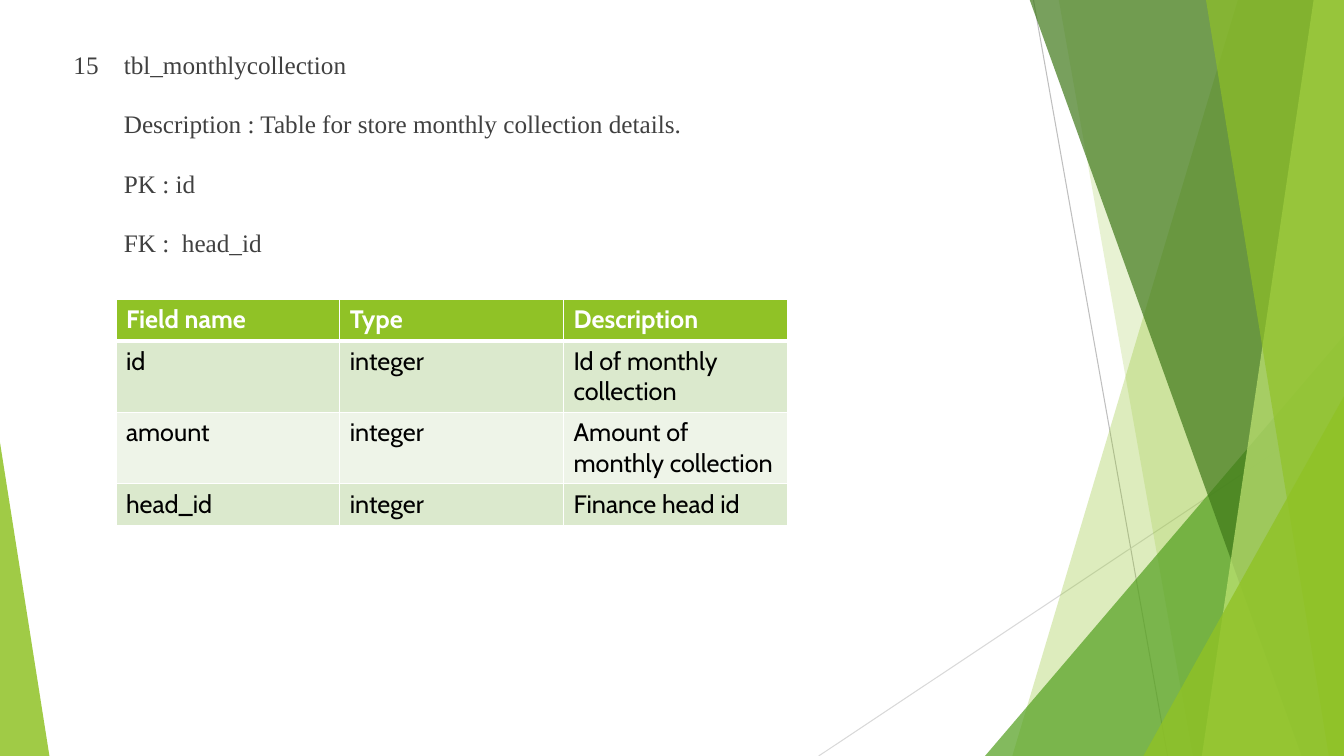
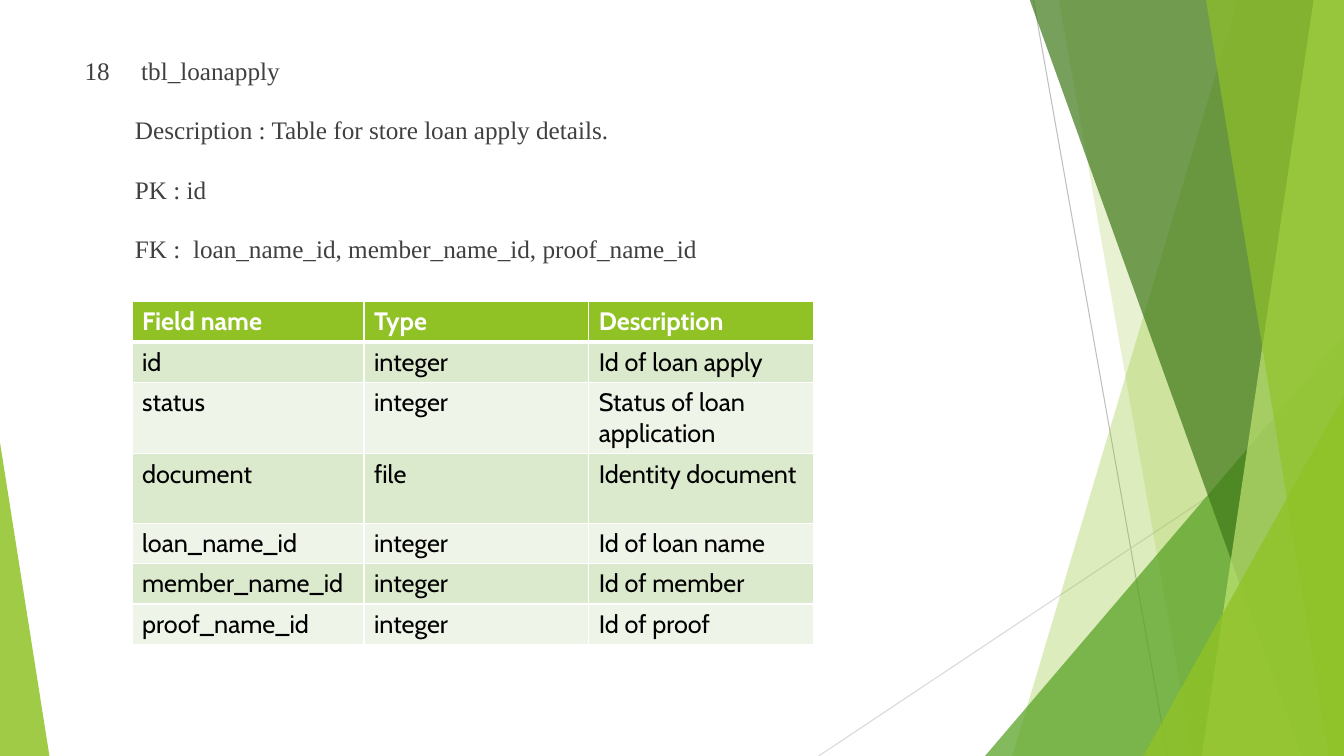
from lxml.etree import SubElement
from pptx import Presentation
from pptx.dml.color import RGBColor
from pptx.enum.shapes import MSO_CONNECTOR, MSO_SHAPE
from pptx.oxml.ns import qn
from pptx.util import Inches, Pt

WIDTH, HEIGHT, TOP = 13.33, 7.5, -0.01
COLORS = {
    "lime": "90C226", "green": "54A021", "forest": "3F7819", "pale": "C0E474",
    "line_dark": "BFBFBF", "line_light": "D9D9D9", "text": "404040",
    "white": "FFFFFF", "black": "000000", "band_dark": "DBE9CD", "band_light": "EEF4E8",
}
BODY_FONT = {"name": "Times New Roman", "size": Pt(18)}
TABLE_FONT = {"name": "Cabin", "size": Pt(18)}
HANG = 0.5  # width of the number column in the text

# x1, y1, x2, y2, colour
LINES = [
    (10.25, 0, 11.58, HEIGHT, "line_dark"),
    (WIDTH, 4.03, 8.12, HEIGHT, "line_light"),
]
# Back to front. A ribbon runs from its left edge (top x, bottom x) to the right
# of the slide; a triangle stands on the bottom: left, width, height, apex.
FACETS = [
    ("ribbon", (12.28, 10.04), "lime", 30),
    ("ribbon", (10.5, 11.83), "lime", 20),
    ("triangle", (9.77, 3.56, 4.17, 1), "green", 72),
    ("ribbon", (10.21, 12.91), "forest", 70),
    ("ribbon", (13.03, 11.92), "pale", 70),
    ("ribbon", (11.96, 13.18), "lime", 65),
    ("triangle", (11.34, 1.99, 3.57, 1), "lime", 80),
    ("triangle", (0, 0.49, 3.11, 0), "lime", 85),
]

HEADER = ("Field name", "Type", "Description")
SLIDES = [
    {
        "text_box": (0.63, 0.44, 9.51, 6.17),
        "text": ["15\ttbl_monthlycollection",
                 "Description : Table for store monthly collection details.",
                 "PK : id",
                 "FK :  head_id"],
        "table_at": (1.15, 2.97),
        "columns": (2.22, 2.22, 2.22),
        "row_heights": (0.41, 0.71, 0.71, 0.41),
        "rows": [("id", "integer", "Id of monthly collection"),
                 ("amount", "integer", "Amount of monthly collection"),
                 ("head_id", "integer", "Finance head id")],
    },
    {
        "text_box": (0.74, 0.5, 9.41, 6.11),
        "text": ["18\t tbl_loanapply",
                 "Description : Table for store loan apply details.",
                 "PK : id",
                 "FK :  loan_name_id, member_name_id, proof_name_id"],
        "table_at": (1.31, 2.99),
        "columns": (2.3, 2.23, 2.23),
        "row_heights": (0.4, 0.4, 0.71, 0.69, 0.4, 0.4, 0.4),
        "rows": [("id", "integer", "Id of loan apply"),
                 ("status", "integer", "Status of loan application"),
                 ("document", "file", "Identity document"),
                 ("loan_name_id", "integer", "Id of loan name"),
                 ("member_name_id", "integer", "Id of member"),
                 ("proof_name_id", "integer", "Id of proof")],
    },
]


def rgb(name):
    return RGBColor.from_string(COLORS[name])


def set_font(font, color, **values):
    for key, value in values.items():
        setattr(font, key, value)
    font.color.rgb = rgb(color)


def add_line(s, x1, y1, x2, y2, color):
    line = s.shapes.add_connector(
        MSO_CONNECTOR.STRAIGHT, *(Inches(v) for v in (x1, y1, x2, y2)))
    line.line.color.rgb = rgb(color)
    line.line.width = Pt(0.75)
    SubElement(line._element.spPr, qn("a:effectLst"))


def add_ribbon(s, top_x, bottom_x):
    outline = s.shapes.build_freeform(Inches(top_x), Inches(TOP))
    corners = [(WIDTH, TOP), (WIDTH, HEIGHT), (bottom_x, HEIGHT)]
    outline.add_line_segments([(Inches(x), Inches(y)) for x, y in corners], close=True)
    return outline.convert_to_shape()


def add_triangle(s, left, width, height, apex):
    sp = s.shapes.add_shape(
        MSO_SHAPE.ISOSCELES_TRIANGLE,
        *(Inches(v) for v in (left, HEIGHT - height, width, height)))
    sp.adjustments[0] = apex
    return sp


def add_backdrop(s):
    for line in LINES:
        add_line(s, *line)
    makers = {"ribbon": add_ribbon, "triangle": add_triangle}
    for kind, geometry, color, opacity in FACETS:
        sp = makers[kind](s, *geometry)
        sp.shadow.inherit = False
        sp.line.fill.background()
        sp.fill.solid()
        sp.fill.fore_color.rgb = rgb(color)
        clr = next(sp._element.spPr.iter(qn("a:srgbClr")))
        SubElement(clr, qn("a:alpha"), val=str(opacity * 1000))


def add_text(s, box, lines):
    """Write a numbered first line and the lines aligned under its text."""
    tf = s.shapes.add_textbox(*(Inches(v) for v in box)).text_frame
    tf.word_wrap = True
    for i, line in enumerate(lines):
        p = tf.paragraphs[0] if i == 0 else tf.add_paragraph()
        pPr = p._p.get_or_add_pPr()
        pPr.set("marL", str(Inches(HANG)))
        pPr.set("indent", str(0 if i else -Inches(HANG)))
        if i:
            p.line_spacing = 1.5
            p.space_before = Pt(10)
        r = p.add_run()
        r.text = line
        set_font(r.font, "text", **BODY_FONT)


def set_borders(cell, top, bottom):
    """Draw white cell borders, 1 pt at the sides; must come before the fill."""
    tcPr = cell._tc.get_or_add_tcPr()
    for side, width in (("L", 1), ("R", 1), ("T", top), ("B", bottom)):
        ln = SubElement(tcPr, qn(f"a:ln{side}"), w=str(Pt(width)))
        fill = SubElement(ln, qn("a:solidFill"))
        SubElement(fill, qn("a:srgbClr"), val=COLORS["white"])


def add_field_table(s, at, columns, row_heights, rows):
    size = (sum(columns), sum(row_heights))
    table = s.shapes.add_table(
        len(row_heights), len(columns), *(Inches(v) for v in at + size)).table
    for column, width in zip(table.columns, columns):
        column.width = Inches(width)
    for i, (height, values) in enumerate(zip(row_heights, [HEADER] + rows)):
        table.rows[i].height = Inches(height)
        is_header = i == 0
        fill = "lime" if is_header else "band_dark" if i % 2 else "band_light"
        for j, value in enumerate(values):
            cell = table.cell(i, j)
            set_borders(cell, top=3 if i == 1 else 1, bottom=3 if is_header else 1)
            cell.fill.solid()
            cell.fill.fore_color.rgb = rgb(fill)
            r = cell.text_frame.paragraphs[0].add_run()
            r.text = value
            set_font(r.font, "white" if is_header else "black",
                     bold=is_header, **TABLE_FONT)


def main():
    prs = Presentation()
    prs.slide_width, prs.slide_height = Inches(WIDTH), Inches(HEIGHT)
    for content in SLIDES:
        s = prs.slides.add_slide(prs.slide_layouts[6])
        add_backdrop(s)
        add_text(s, content["text_box"], content["text"])
        add_field_table(s, content["table_at"], content["columns"],
                        content["row_heights"], content["rows"])
    prs.save("out.pptx")


if __name__ == "__main__":
    main()
